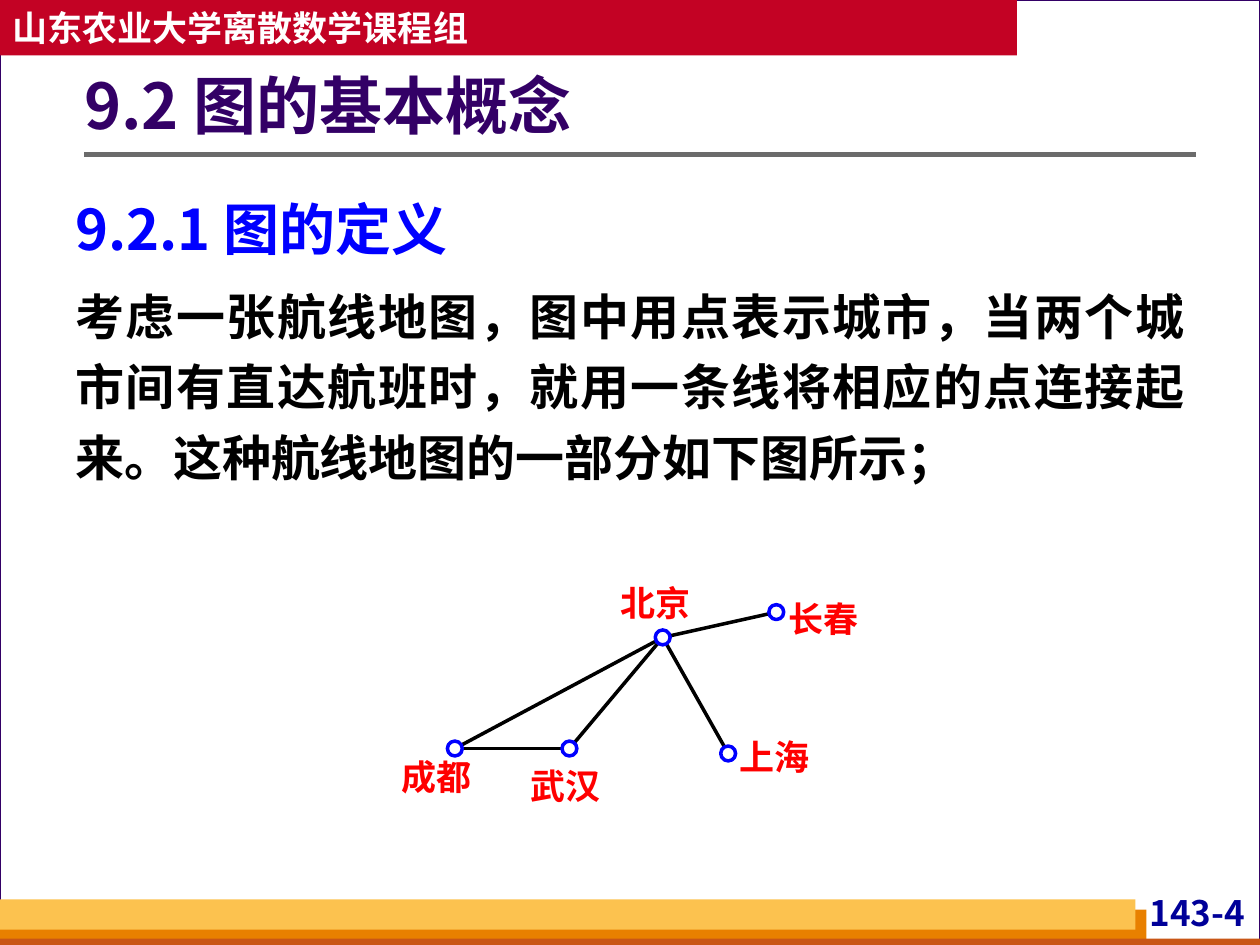
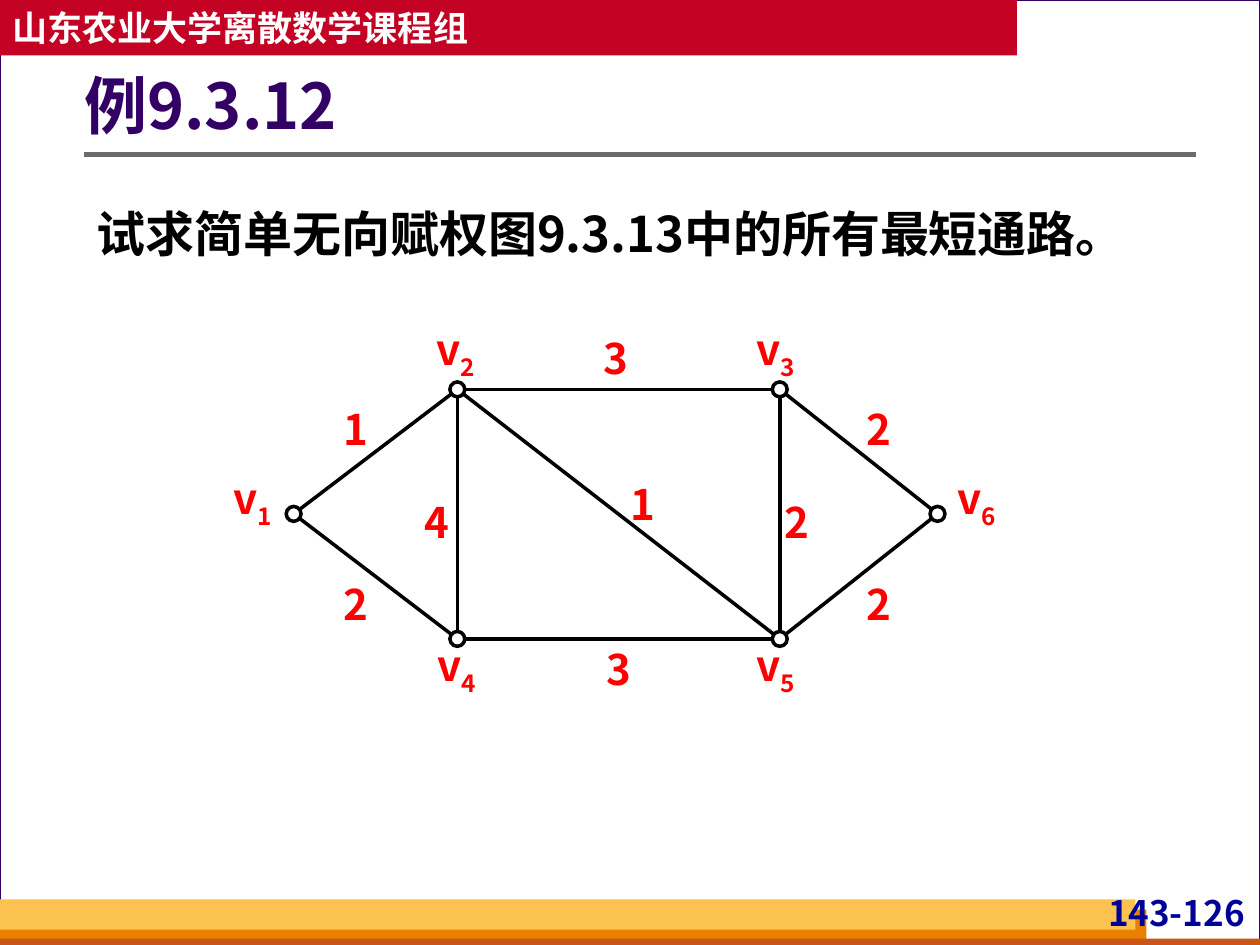
from lxml.etree import SubElement
from pptx import Presentation
from pptx.dml.color import RGBColor
from pptx.enum.shapes import MSO_CONNECTOR, MSO_SHAPE
from pptx.enum.text import MSO_ANCHOR, PP_ALIGN
from pptx.oxml.ns import qn
from pptx.util import Cm, Pt

WHITE = RGBColor(0xFF, 0xFF, 0xFF)
BLACK = RGBColor(0x00, 0x00, 0x00)
RED = RGBColor(0xFF, 0x00, 0x00)
BLUE = RGBColor(0x00, 0x00, 0xFF)
NAVY = RGBColor(0x00, 0x00, 0x99)
PURPLE = RGBColor(0x33, 0x00, 0x66)
CRIMSON = RGBColor(0xC3, 0x02, 0x24)
GRAY = RGBColor(0x6B, 0x6B, 0x6B)
PALE_GRAY = RGBColor(0xD8, 0xDA, 0xDA)
YELLOW = RGBColor(0xFC, 0xC2, 0x4F)
ORANGE = RGBColor(0xE8, 0x80, 0x00)
RUST = RGBColor(0xC9, 0x56, 0x16)

SANS = "Noto Sans CJK SC"
SERIF = "Times New Roman"
NODE_SIZE = 0.3
NO_INSETS = (0, 0, 0, 0)

CITIES = {
    "北京": (13.36, 12.85),
    "长春": (15.65, 12.34),
    "上海": (14.68, 15.19),
    "武汉": (11.48, 15.09),
    "成都": (9.17, 15.09),
}
CITY_LABELS = {
    "北京": (12.5, 11.73),
    "长春": (15.9, 12.04),
    "上海": (14.91, 14.83),
    "武汉": (10.69, 15.42),
    "成都": (8.1, 15.24),
}
FLIGHTS = [("北京", "长春"), ("北京", "成都"), ("武汉", "成都"),
           ("北京", "武汉"), ("北京", "上海")]

VERTICES = {
    "1": (5.92, 10.36),
    "2": (9.22, 7.85),
    "3": (15.72, 7.85),
    "4": (9.22, 12.88),
    "5": (15.72, 12.88),
    "6": (18.9, 10.36),
}
VERTEX_LABELS = {
    "1": (4.5, 9.53),
    "2": (8.59, 6.53),
    "3": (15.04, 6.53),
    "4": (8.61, 12.9),
    "5": (15.04, 12.9),
    "6": (19.1, 9.53),
}
WEIGHTED_EDGES = [
    ("1", "2", "1", (6.88, 8.13)),
    ("1", "4", "2", (6.88, 11.66)),
    ("2", "3", "3", (12.12, 6.71)),
    ("2", "4", "4", (8.51, 10.01)),
    ("2", "5", "1", (12.65, 9.65)),
    ("3", "5", "2", (15.77, 10.01)),
    ("3", "6", "2", (17.42, 8.13)),
    ("4", "5", "3", (12.17, 12.98)),
    ("5", "6", "2", (17.42, 11.66)),
]


def add_run(paragraph, text, size=20, color=BLACK, font=SANS, baseline=None):
    run = paragraph.add_run()
    run.text = text
    run.font.size = Pt(size)
    run.font.bold = True
    run.font.color.rgb = color
    run.font.name = font
    properties = run.font._element
    SubElement(properties, qn("a:ea")).set("typeface", SANS)
    if baseline is not None:
        properties.set("baseline", str(baseline * 1000))


class LectureDeck:
    def __init__(self):
        self.presentation = Presentation()
        self.presentation.slide_width = Cm(25.4)
        self.presentation.slide_height = Cm(19.05)
        self.slide = None

    def start_slide(self, title, page):
        self.slide = self.presentation.slides.add_slide(self.presentation.slide_layouts[6])
        background = self.slide.background.fill
        background.solid()
        background.fore_color.rgb = PALE_GRAY
        self.shape((0, 0, 25.4, 19.05), WHITE, PURPLE, 0.75)
        self.shape((0, 18.34, 23.11, 0.71), ORANGE)
        self.shape((0, 18.92, 25.4, 0.13), RUST)
        self.shape((0, 18.13, 22.89, 0.61), YELLOW)
        self.text((22.1, 17.98, 3.1, 0.97), f"143-{page}", insets=(0.1, 0, 0.1, 0),
                  align=PP_ALIGN.RIGHT, color=NAVY)
        self.line((1.7, 3.12), (24.1, 3.12), GRAY, 3)
        band = self.shape((0, 0, 20.5, 1.12), CRIMSON)
        self.prepare_frame(band, anchor=MSO_ANCHOR.MIDDLE)
        self.paragraph(band, "山东农业大学离散数学课程组", color=WHITE)
        self.text((1.7, 0.91, 22.4, 2.57), title, insets=(0, 0.13, 0.25, 0.13),
                  anchor=MSO_ANCHOR.MIDDLE, spacing=0.9, size=36, color=PURPLE)

    def shape(self, box, fill, outline=None, width=1, kind=MSO_SHAPE.RECTANGLE):
        shape = self.slide.shapes.add_shape(kind, *map(Cm, box))
        shape.shadow.inherit = False
        shape.fill.solid()
        shape.fill.fore_color.rgb = fill
        if outline is None:
            shape.line.fill.background()
        else:
            shape.line.color.rgb = outline
            shape.line.width = Pt(width)
        return shape

    def line(self, start, end, color=BLACK, width=2):
        connector = self.slide.shapes.add_connector(
            MSO_CONNECTOR.STRAIGHT, *map(Cm, (*start, *end)))
        connector.line.color.rgb = color
        connector.line.width = Pt(width)
        SubElement(connector._element.spPr, qn("a:effectLst"))

    def node(self, center, outline):
        left, top = (position - NODE_SIZE / 2 for position in center)
        self.shape((left, top, NODE_SIZE, NODE_SIZE), WHITE, outline, 2, MSO_SHAPE.OVAL)

    def prepare_frame(self, shape, insets=(0.25, 0.13, 0.25, 0.13), anchor=MSO_ANCHOR.TOP):
        frame = shape.text_frame
        frame.word_wrap = True
        frame.vertical_anchor = anchor
        (frame.margin_left, frame.margin_top,
         frame.margin_right, frame.margin_bottom) = map(Cm, insets)

    def paragraph(self, shape, text, align=PP_ALIGN.LEFT, spacing=1.0, before=0,
                  subscript=None, **style):
        frame = shape.text_frame
        paragraph = frame.add_paragraph() if frame.text else frame.paragraphs[0]
        paragraph.alignment = align
        paragraph.line_spacing = spacing
        paragraph.space_before = Pt(before)
        add_run(paragraph, text, **style)
        if subscript:
            add_run(paragraph, subscript, baseline=-25, **style)

    def text(self, box, text, insets=(0.25, 0.13, 0.25, 0.13),
             anchor=MSO_ANCHOR.TOP, **style):
        shape = self.slide.shapes.add_textbox(*map(Cm, box))
        self.prepare_frame(shape, insets, anchor)
        self.paragraph(shape, text, **style)
        return shape

    def label(self, position, extent, text, **style):
        self.text((*position, *extent), text, insets=NO_INSETS, color=RED, **style)


def build_graph_definition(deck):
    deck.start_slide("9.2 图的基本概念", 4)
    body_style = {"align": PP_ALIGN.JUSTIFY, "spacing": 1.2}
    body = deck.text((1.27, 3.53, 22.86, 6.4), "9.2.1 图的定义",
                     size=32, color=BLUE, **body_style)
    deck.paragraph(body, "考虑一张航线地图，图中用点表示城市，当两个城市间有直达航班时，"
                   "就用一条线将相应的点连接起来。这种航线地图的一部分如下图所示；",
                   size=28, before=7, **body_style)
    for origin, destination in FLIGHTS:
        deck.line(CITIES[origin], CITIES[destination])
    for city, center in CITIES.items():
        deck.node(center, BLUE)
        deck.label(CITY_LABELS[city], (1.6, 0.84), city,
                   align=PP_ALIGN.JUSTIFY, font=SERIF)


def build_shortest_path_example(deck):
    deck.start_slide("例9.3.12", 126)
    deck.text((1.7, 3.73, 22.4, 1.68), "试求简单无向赋权图9.3.13中的所有最短通路。",
              align=PP_ALIGN.JUSTIFY, spacing=1.2, size=28)
    label_style = {"align": PP_ALIGN.CENTER, "size": 24}
    for start, end, weight, position in WEIGHTED_EDGES:
        deck.line(VERTICES[start], VERTICES[end])
        deck.label(position, (0.61, 1.02), weight, **label_style)
    for index, center in VERTICES.items():
        deck.node(center, BLACK)
        deck.label(VERTEX_LABELS[index], (1.19, 1.17), "v", subscript=index, **label_style)


def main():
    deck = LectureDeck()
    build_graph_definition(deck)
    build_shortest_path_example(deck)
    deck.presentation.save("out.pptx")


if __name__ == "__main__":
    main()
